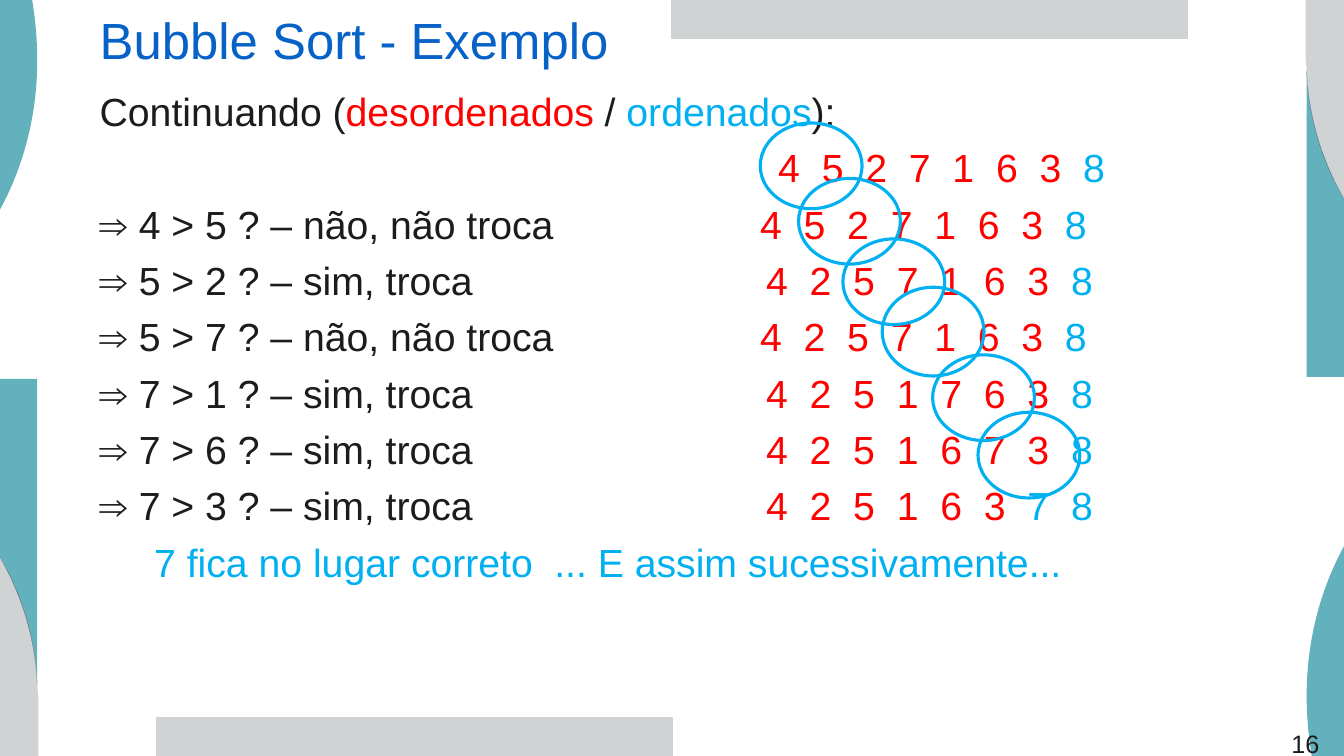
import dataclasses

import pptx
import pptx.dml.color
import pptx.enum.shapes
import pptx.oxml
import pptx.oxml.ns
import pptx.util

PX = 9144  # one px is a hundredth of an inch
WIDE, HIGH = 1333, 750


@dataclasses.dataclass(frozen=True)
class Theme:
    font: str = "Arial"
    ink: str = "1C1C1C"
    title: str = "0762C8"
    red: str = "FF0000"
    blue: str = "00B0F0"
    teal: str = "63B1BC"
    gray: str = "D0D3D4"
    navy: str = "1F2A44"
    head: float = 36.3
    body: float = 28
    page: float = 18
    lead: float = 0.9
    gap: float = 10
    ring: float = 2.25


class Board:
    def __init__(self, slide, theme):
        self.slide = slide
        self.theme = theme

    def color(self, code):
        return pptx.dml.color.RGBColor.from_string(code)

    def outline(self, path, fill, turn=False):
        """Parts of two numbers are corners, parts of six are cubic curves."""
        points = [part[i:i + 2] for part in path for i in range(0, len(part), 2)]
        if turn:
            points = [(WIDE - x, HIGH - y) for x, y in points]
        points = [(x * PX, y * PX) for x, y in points]
        form = self.slide.shapes.build_freeform(*points[0], scale=1.0)
        form.add_line_segments(points[1:], close=True)
        shape = form.convert_to_shape()
        self.bend(shape, path[1:])
        shape.shadow.inherit = False
        shape.fill.solid()
        shape.fill.fore_color.rgb = self.color(fill)
        shape.line.fill.background()

    def bend(self, shape, parts):
        """Join the three lines of each curve into one cubic segment."""
        lines = iter(list(shape._element.iter(pptx.oxml.ns.qn("a:lnTo"))))
        space = pptx.oxml.ns.nsdecls("a")
        for part in parts:
            first = next(lines)
            if len(part) == 6:
                curve = pptx.oxml.parse_xml(f"<a:cubicBezTo {space}/>")
                first.addprevious(curve)
                for line in (first, next(lines), next(lines)):
                    curve.append(line[0])
                    line.getparent().remove(line)

    def ring(self, x, y, w, h):
        kind = pptx.enum.shapes.MSO_SHAPE.OVAL
        shape = self.slide.shapes.add_shape(kind, x * PX, y * PX, w * PX, h * PX)
        shape.shadow.inherit = False
        shape.fill.background()
        shape.line.color.rgb = self.color(self.theme.blue)
        shape.line.width = pptx.util.Pt(self.theme.ring)

    def text(self, x, y, w, h, lines, size, lead=None):
        """Each line is a list of (text, color) and a list of tab stops."""
        box = self.slide.shapes.add_textbox(x * PX, y * PX, w * PX, h * PX)
        frame = box.text_frame
        frame.word_wrap = True
        for index, (runs, stops) in enumerate(lines):
            para = frame.add_paragraph() if index else frame.paragraphs[0]
            if lead:
                para.line_spacing = lead
                para.space_before = pptx.util.Pt(self.theme.gap)
            for words, code in runs:
                run = para.add_run()
                run.text = words
                run.font.name = self.theme.font
                run.font.size = pptx.util.Pt(size)
                run.font.color.rgb = self.color(code)
            if stops:
                self.tabs(para, stops)

    def tabs(self, para, stops):
        space = pptx.oxml.ns.nsdecls("a")
        marks = "".join(f'<a:tab pos="{round(stop * PX)}" algn="l"/>' for stop in stops)
        props = para._p.get_or_add_pPr()
        props.append(pptx.oxml.parse_xml(f"<a:tabLst {space}>{marks}</a:tabLst>"))


def main():
    deck = pptx.Presentation()
    deck.slide_width, deck.slide_height = WIDE * PX, HIGH * PX
    theme = Theme()
    board = Board(deck.slides.add_slide(deck.slide_layouts[6]), theme)

    # Edge art: each outline appears again turned by half a circle
    edges = [
        ([(32, 0), (0, 0), (0, 208), (24, 164, 37, 113, 37, 60),
          (37, 39, 35, 19, 32, 0)], theme.teal),
        ([(155, 711), (667, 711), (667, 750), (155, 750)], theme.gray),
        ([(37, 679), (37, 376), (0, 376), (0, 553),
          (22, 590, 35, 633, 37, 679)], theme.teal),
        ([(0, 553), (0, 750), (38, 750), (38, 692), (38, 688, 37, 683, 37, 679),
          (37, 680), (35, 634, 22, 591, 0, 553)], theme.gray),
        ([(37, 680), (37, 679), (35, 633, 22, 590, 0, 553),
          (22, 591, 35, 634, 37, 680)], theme.navy),
    ]
    for path, fill in edges:
        board.outline(path, fill)
        board.outline(path, fill, turn=True)

    # Sorting steps: words, digits, count of sorted digits, start of digits
    steps = [
        ("", "45271638", 1, 673),
        ("⇒ 4 > 5 ? – não, não troca", "45271638", 1, 655),
        ("⇒ 5 > 2 ? – sim, troca", "42571638", 1, 661),
        ("⇒ 5 > 7 ? – não, não troca", "42571638", 1, 655),
        ("⇒ 7 > 1 ? – sim, troca", "42517638", 1, 661),
        ("⇒ 7 > 6 ? – sim, troca", "42516738", 1, 661),
        ("⇒ 7 > 3 ? – sim, troca", "42516378", 2, 661),
    ]
    pitch = 43.2
    lines = [([("Continuando (", theme.ink), ("desordenados", theme.red),
               (" / ", theme.ink), ("ordenados", theme.blue), ("):", theme.ink)], [])]
    for words, digits, done, start in steps:
        cells = ["\t" + digit for digit in digits]
        runs = [(words, theme.ink)] if words else []
        runs += [("".join(cells[:-done]), theme.red), ("".join(cells[-done:]), theme.blue)]
        lines.append((runs, [start + pitch * col for col in range(len(digits))]))
    close = "\t7 fica no lugar correto\t... E assim sucessivamente..."
    lines.append(([(close, theme.blue)], [54, 451]))
    board.text(89, 87, 1155, 593, lines, theme.body, theme.lead)

    # Page number and title
    board.text(1271, 718, 62, 21, [([("16", theme.ink)], [])], theme.page)
    title = [([("Bubble Sort - Exemplo", theme.title)], [])]
    board.text(89, 11, 1244, 76, title, theme.head, theme.lead)

    # Rings around the compared pairs
    rings = [(754, 122, 85), (792, 177, 85), (836, 237, 85),
             (875, 285, 88), (925, 352, 85), (970, 409, 85)]
    for x, y, high in rings:
        board.ring(x, y, 101, high)

    deck.save("out.pptx")


if __name__ == "__main__":
    main()
